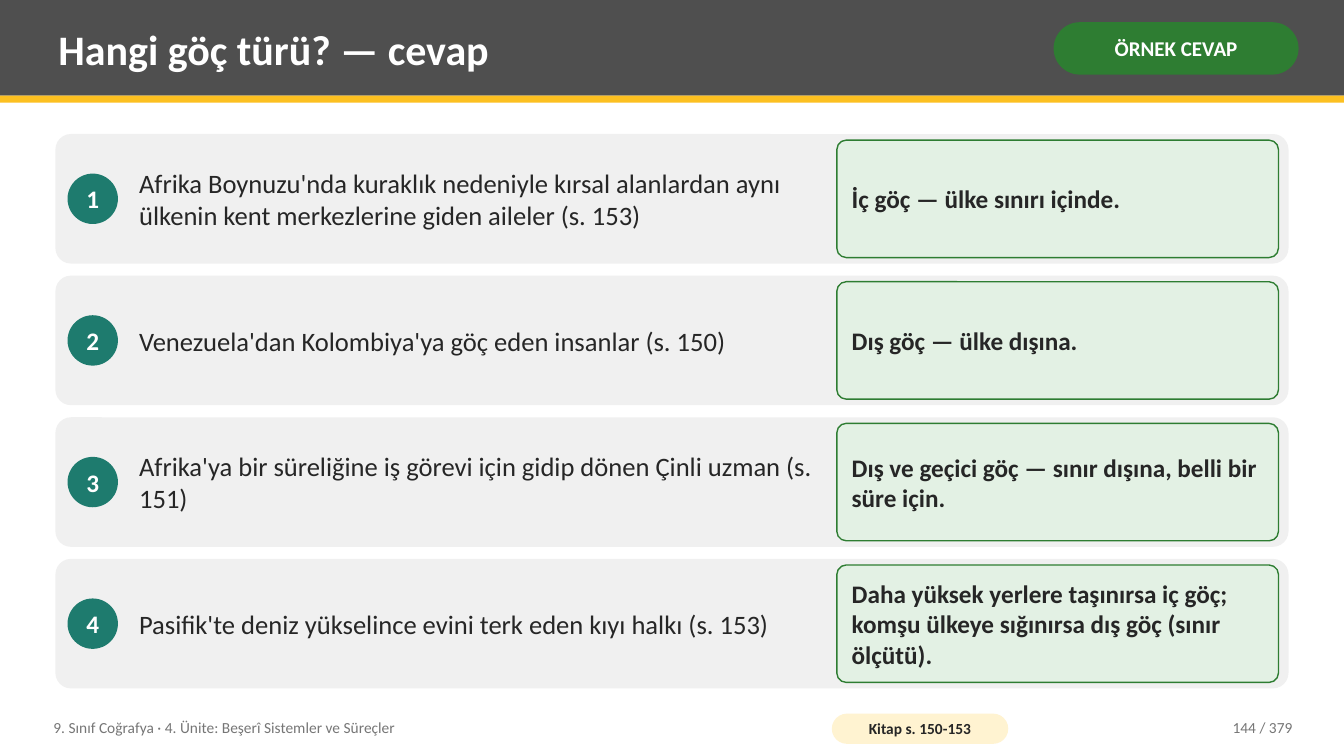
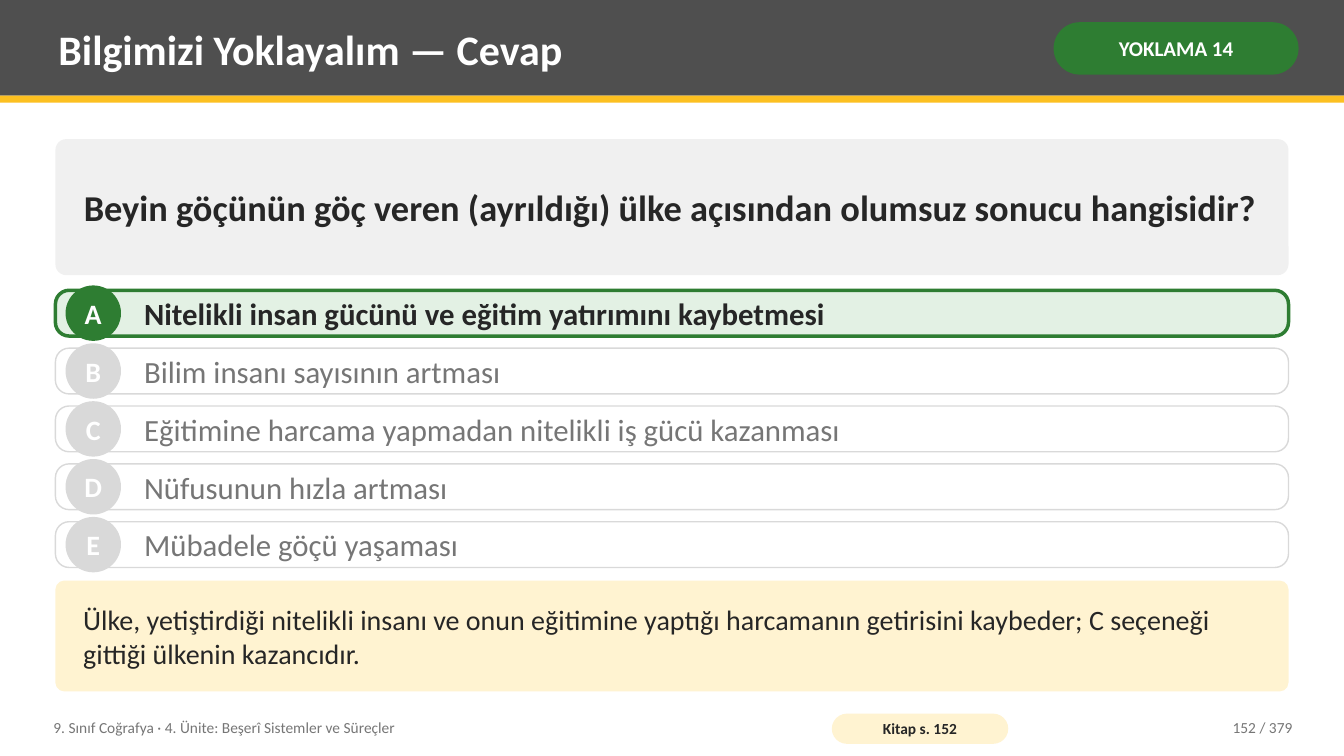
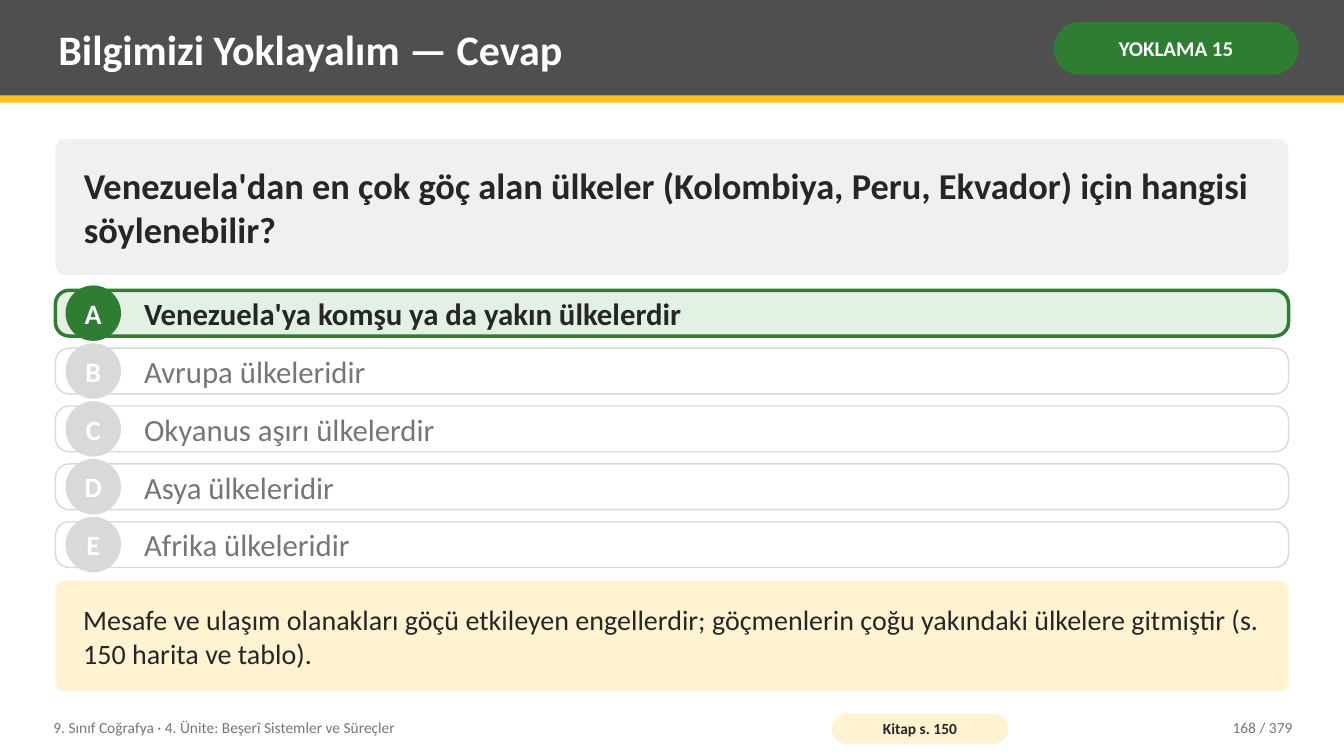
import pptx
import pptx.util
import pptx.dml.color
from pptx.enum.shapes import MSO_SHAPE
from pptx.enum.text import MSO_ANCHOR, PP_ALIGN

UNIT = "9. Sınıf Coğrafya · 4. Ünite: Beşerî Sistemler ve Süreçler"
TOTAL_PAGES = 379

MATCHING = {
    "title": "Hangi göç türü? — cevap", "tag": "ÖRNEK CEVAP",
    "source": "Kitap s. 150-153", "page": 144,
    "cases": [
        ("Afrika Boynuzu'nda kuraklık nedeniyle kırsal alanlardan aynı ülkenin kent "
         "merkezlerine giden aileler (s. 153)",
         "İç göç — ülke sınırı içinde."),
        ("Venezuela'dan Kolombiya'ya göç eden insanlar (s. 150)",
         "Dış göç — ülke dışına."),
        ("Afrika'ya bir süreliğine iş görevi için gidip dönen Çinli uzman (s. 151)",
         "Dış ve geçici göç — sınır dışına, belli bir süre için."),
        ("Pasifik'te deniz yükselince evini terk eden kıyı halkı (s. 153)",
         "Daha yüksek yerlere taşınırsa iç göç; komşu ülkeye sığınırsa dış göç "
         "(sınır ölçütü)."),
    ],
}
QUIZZES = [
    {
        "title": "Bilgimizi Yoklayalım — Cevap", "tag": "YOKLAMA 14",
        "source": "Kitap s. 152", "page": 152,
        "question": "Beyin göçünün göç veren (ayrıldığı) ülke açısından olumsuz sonucu "
                    "hangisidir?",
        "options": ["Nitelikli insan gücünü ve eğitim yatırımını kaybetmesi",
                    "Bilim insanı sayısının artması",
                    "Eğitimine harcama yapmadan nitelikli iş gücü kazanması",
                    "Nüfusunun hızla artması",
                    "Mübadele göçü yaşaması"],
        "correct": "A",
        "reason": "Ülke, yetiştirdiği nitelikli insanı ve onun eğitimine yaptığı harcamanın "
                  "getirisini kaybeder; C seçeneği gittiği ülkenin kazancıdır.",
    },
    {
        "title": "Bilgimizi Yoklayalım — Cevap", "tag": "YOKLAMA 15",
        "source": "Kitap s. 150", "page": 168,
        "question": "Venezuela'dan en çok göç alan ülkeler (Kolombiya, Peru, Ekvador) için "
                    "hangisi söylenebilir?",
        "options": ["Venezuela'ya komşu ya da yakın ülkelerdir",
                    "Avrupa ülkeleridir",
                    "Okyanus aşırı ülkelerdir",
                    "Asya ülkeleridir",
                    "Afrika ülkeleridir"],
        "correct": "A",
        "reason": "Mesafe ve ulaşım olanakları göçü etkileyen engellerdir; göçmenlerin çoğu "
                  "yakındaki ülkelere gitmiştir (s. 150 harita ve tablo).",
    },
]

FONT = "Calibri"
WHITE, INK, MUTED, PALE = "FFFFFF", "262626", "767676", "D9D9D9"
BAND, GOLD, CREAM, PANEL = "4F4F4F", "FCC021", "FFF3D1", "F0F0F0"
GREEN, MINT, TEAL = "2E7D32", "E3F1E4", "1E7B6E"

WIDTH, HEIGHT = 13.33, 7.5
MARGIN = 0.55
CONTENT = WIDTH - 2 * MARGIN
GAP = 0.12
TEXT_INSET, PANEL_INSET = (0.08, 0.04), (0.25, 0.08)
RECT, ROUND, OVAL = MSO_SHAPE.RECTANGLE, MSO_SHAPE.ROUNDED_RECTANGLE, MSO_SHAPE.OVAL
LEFT, CENTER, RIGHT = PP_ALIGN.LEFT, PP_ALIGN.CENTER, PP_ALIGN.RIGHT


def rgb(code):
    return pptx.dml.color.RGBColor.from_string(code)


def inches(values):
    return [pptx.util.Inches(value) for value in values]


def write(shape, text, size, color=INK, bold=False, align=LEFT, inset=TEXT_INSET, wrap=True):
    frame = shape.text_frame
    frame.word_wrap = wrap
    frame.vertical_anchor = MSO_ANCHOR.MIDDLE
    side, top = inches(inset)
    frame.margin_left = frame.margin_right = side
    frame.margin_top = frame.margin_bottom = top
    paragraph = frame.paragraphs[0]
    paragraph.alignment = align
    run = paragraph.add_run()
    run.text = text
    run.font.name = FONT
    run.font.size = pptx.util.Pt(size)
    run.font.bold = bold
    run.font.color.rgb = rgb(color)


def add_label(slide, box, text, size, **style):
    write(slide.shapes.add_textbox(*inches(box)), text, size, **style)


def add_block(slide, kind, box, fill, rounding=None, line=None):
    """Add a filled preset shape; line is a (colour, points) pair."""
    block = slide.shapes.add_shape(kind, *inches(box))
    block.shadow.inherit = False
    block.fill.solid()
    block.fill.fore_color.rgb = rgb(fill)
    if rounding is not None:
        block.adjustments[0] = rounding
    if line:
        block.line.color.rgb = rgb(line[0])
        block.line.width = pptx.util.Pt(line[1])
    else:
        block.line.fill.background()
    return block


def add_badge(slide, left, middle, diameter, fill, mark, size):
    badge = add_block(slide, OVAL, (left, middle - diameter / 2, diameter, diameter), fill)
    write(badge, mark, size, WHITE, True, CENTER, (0, 0), wrap=False)


def split_rows(top, bottom, count):
    """Return the tops of equal rows with GAP between them, and their height."""
    height = (bottom - top - GAP * (count - 1)) / count
    return [top + i * (height + GAP) for i in range(count)], height


def start_slide(deck, content):
    """Add a slide with its header band, tag and footer."""
    slide = deck.slides.add_slide(deck.slide_layouts[6])
    add_block(slide, RECT, (0, 0, WIDTH, 0.95), BAND)
    add_block(slide, RECT, (0, 0.95, WIDTH, 0.07), GOLD)
    add_label(slide, (0.5, 0.07, 9.75, 0.82), content["title"], 30, color=WHITE, bold=True)
    tag = add_block(slide, ROUND, (10.45, 0.22, 2.43, 0.52), GREEN, 0.5)
    write(tag, content["tag"], 15, WHITE, True, CENTER, (0.05, 0.02))

    add_label(slide, (0.45, 7.04, 7.6, 0.36), UNIT, 11, color=MUTED)
    source = add_block(slide, ROUND, (8.25, 7.08, 1.75, 0.3), CREAM, 0.5)
    write(source, content["source"], 11, INK, True, CENTER, (0.04, 0))
    add_label(slide, (11.3, 7.04, 1.6, 0.36), f"{content['page']} / {TOTAL_PAGES}", 11,
              color=MUTED, align=RIGHT)
    return slide


def add_matching(deck, content):
    slide = start_slide(deck, content)
    tops, height = split_rows(1.33, 6.83, len(content["cases"]))
    for number, (top, (case, verdict)) in enumerate(zip(tops, content["cases"]), 1):
        add_block(slide, ROUND, (MARGIN, top, CONTENT, height), PANEL, 0.12)
        add_badge(slide, MARGIN + GAP, top + height / 2, 0.5, TEAL, str(number), 18)
        add_label(slide, (1.3, top, 6.9, height), case, 19)
        answer = add_block(slide, ROUND, (8.3, top + GAP / 2, 4.38, height - GAP),
                           MINT, 0.08, (GREEN, 1))
        write(answer, verdict, 18, bold=True, inset=(0.12, 0.08))


def add_quiz(deck, content):
    slide = start_slide(deck, content)
    question = add_block(slide, ROUND, (MARGIN, 1.38, CONTENT, 1.35), PANEL, 0.08)
    write(question, content["question"], 26, bold=True, inset=PANEL_INSET)

    tops, height = split_rows(2.88, 5.63, len(content["options"]))
    for letter, top, option in zip("ABCDE", tops, content["options"]):
        correct = letter == content["correct"]
        accent = GREEN if correct else PALE
        add_block(slide, ROUND, (MARGIN, top, CONTENT, height), MINT if correct else WHITE,
                  0.3, (accent, 2.5 if correct else 1))
        add_badge(slide, MARGIN + 0.1, top + height / 2, 0.55, accent, letter, 20)
        add_label(slide, (1.35, top, CONTENT - 1, height), option, 22,
                  color=INK if correct else MUTED, bold=correct)

    reason = add_block(slide, ROUND, (MARGIN, 5.76, CONTENT, 1.1), CREAM, 0.08)
    write(reason, content["reason"], 20, inset=PANEL_INSET)


def main():
    deck = pptx.Presentation()
    deck.slide_width, deck.slide_height = inches((WIDTH, HEIGHT))
    add_matching(deck, MATCHING)
    for quiz in QUIZZES:
        add_quiz(deck, quiz)
    deck.save("out.pptx")


if __name__ == "__main__":
    main()
